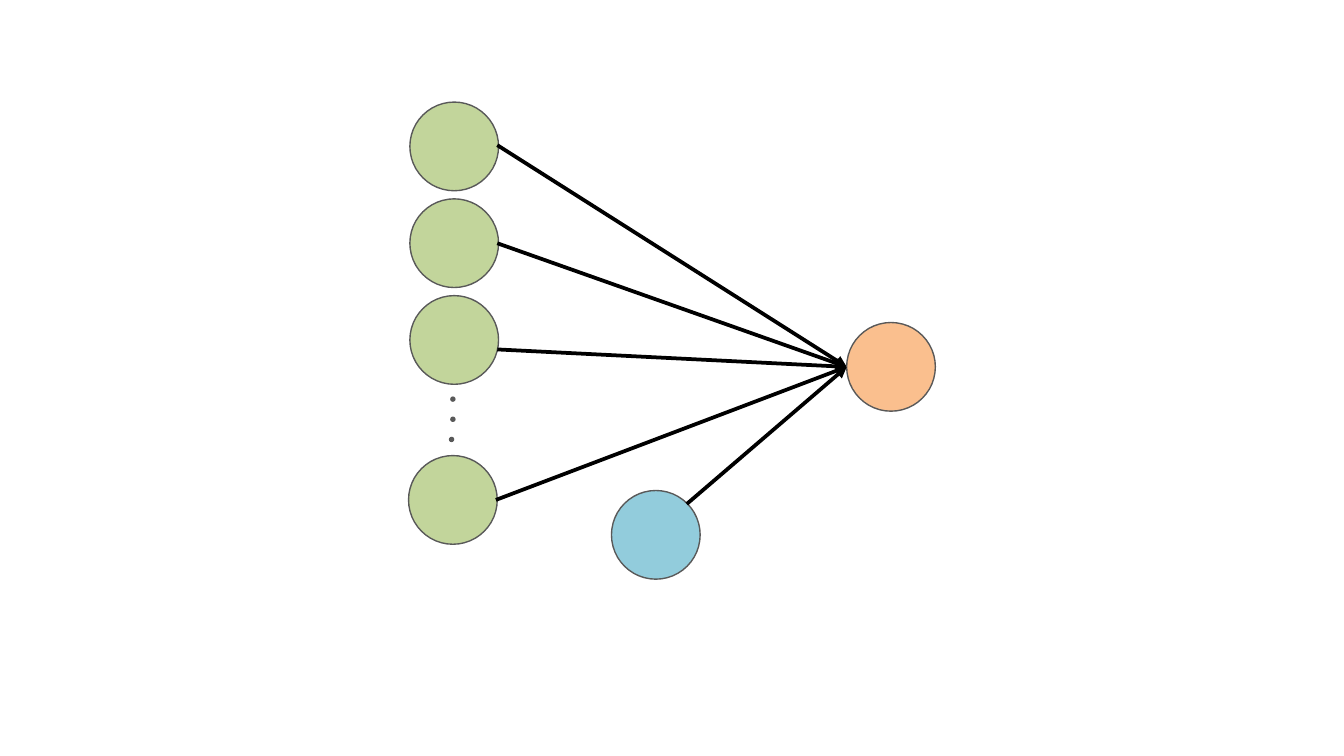
from dataclasses import dataclass

from lxml import etree
from pptx import Presentation
from pptx.dml.color import RGBColor
from pptx.enum import shapes
from pptx.oxml import ns
from pptx.shapes.shapetree import GroupShapes
from pptx.util import Inches, Pt


@dataclass(frozen=True)
class Theme:
    input: str = "C2D59B"
    output: str = "FABF8E"
    bias: str = "92CCDC"
    outline: str = "595959"
    arrow: str = "000000"
    outline_width: float = 0.75
    arrow_width: float = 2


@dataclass(frozen=True)
class Circle:
    left: float
    top: float
    size: float
    color: str
    outlined: bool = True


@dataclass(frozen=True)
class Arrow:
    """An arrow from (x, y) to the output node."""
    x: float
    y: float


THEME = Theme()
NODE = 0.66
DOT = 0.04
TARGET = (6.3, 2.73)

INPUTS = [Circle(3.05, 0.76 + 0.72 * i, NODE, THEME.input) for i in range(3)]
INPUTS.append(Circle(3.04, 3.39, NODE, THEME.input))
OUTPUT = Circle(6.3, 2.4, NODE, THEME.output)
BIAS = Circle(4.55, 3.65, NODE, THEME.bias)
DOTS = [Circle(left, 2.95 + 0.15 * i, DOT, THEME.outline, outlined=False)
        for i, left in enumerate((3.35, 3.35, 3.34))]
INPUT_ARROWS = [Arrow(3.7, 1.08), Arrow(3.7, 1.81), Arrow(3.7, 2.6), Arrow(3.69, 3.72)]
BIAS_ARROW = Arrow(5.11, 3.75)


def add_circle(group: GroupShapes, circle: Circle) -> None:
    sp = group.add_shape(shapes.MSO_SHAPE.OVAL, Inches(circle.left), Inches(circle.top),
                         Inches(circle.size), Inches(circle.size))
    sp.shadow.inherit = False
    sp.fill.solid()
    sp.fill.fore_color.rgb = RGBColor.from_string(circle.color)
    if circle.outlined:
        sp.line.color.rgb = RGBColor.from_string(THEME.outline)
        sp.line.width = Pt(THEME.outline_width)
    else:
        sp.line.fill.background()


def add_arrow(group: GroupShapes, arrow: Arrow) -> None:
    cx = group.add_connector(shapes.MSO_CONNECTOR.STRAIGHT, Inches(arrow.x), Inches(arrow.y),
                             Inches(TARGET[0]), Inches(TARGET[1]))
    cx.line.color.rgb = RGBColor.from_string(THEME.arrow)
    cx.line.width = Pt(THEME.arrow_width)
    etree.SubElement(cx.line._get_or_add_ln(), ns.qn("a:tailEnd"), type="triangle")
    etree.SubElement(cx._element.spPr, ns.qn("a:effectLst"))


def main() -> None:
    prs = Presentation()
    prs.slide_width = Inches(10)
    prs.slide_height = prs.slide_width * 9 // 16
    s = prs.slides.add_slide(prs.slide_layouts[6])
    network = s.shapes.add_group_shape().shapes

    for circle in INPUTS:
        add_circle(network, circle)
    for arrow in INPUT_ARROWS:
        add_arrow(network, arrow)
    for circle in (OUTPUT, BIAS):
        add_circle(network, circle)
    add_arrow(network, BIAS_ARROW)
    for dot in DOTS:
        add_circle(network, dot)

    prs.save("out.pptx")


if __name__ == "__main__":
    main()
